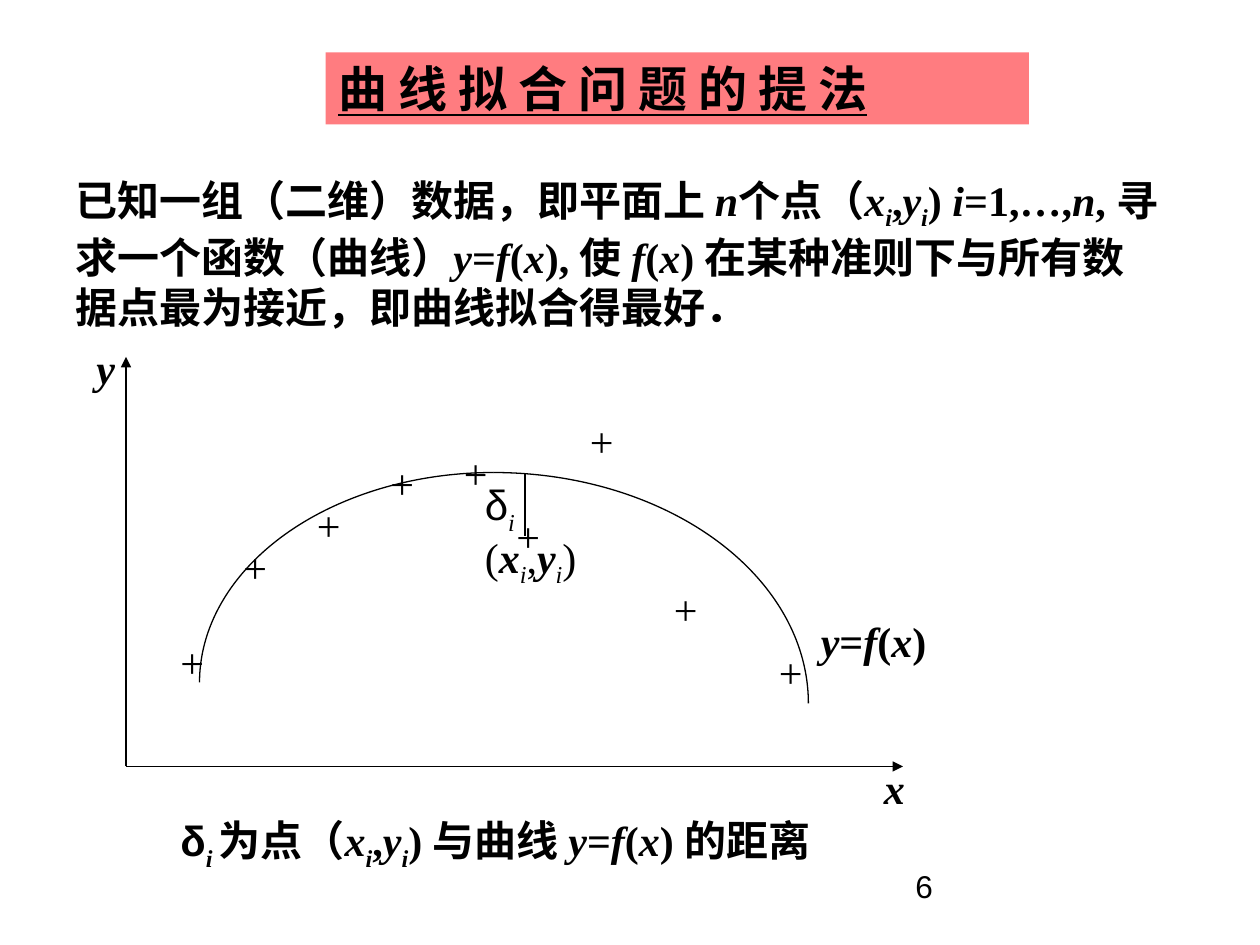
from lxml import etree
from pptx import Presentation
from pptx.dml.color import RGBColor
from pptx.enum.shapes import MSO_CONNECTOR, MSO_SHAPE
from pptx.enum.text import MSO_ANCHOR, MSO_AUTO_SIZE, PP_ALIGN
from pptx.oxml.ns import qn
from pptx.util import Inches, Pt

BLACK = RGBColor(0, 0, 0)
PINK = RGBColor(0xFF, 0x7C, 0x80)
CJK, SERIF, SANS = "Noto Sans CJK SC", "Times New Roman", "Arial"

# Runs are (text, style): b bold, i italic, s subscript, u underlined,
# c CJK font, a sans font; otherwise the serif font.
F_OF_X = [("f", "bi"), ("(", "b"), ("x", "bi"), (")", "b")]
Y_OF_X = [("y", "bi"), ("=", "b"), *F_OF_X]
POINT = [("x", "bi"), ("i", "bis"), (",", "b"), ("y", "bi"), ("i", "bis"), (")", "b")]

TITLE = [("曲 线 拟 合 问 题 的 提 法", "bcu")]
STATEMENT = [
    ("已知一组（二维）数据，即平面上 ", "bc"), ("n", "bi"), ("个点", "bc"),
    ("（", "b"), *POINT, (" ", "b"), ("i", "bi"), ("=1,…,", "b"), ("n", "bi"),
    (", ", "b"), ("寻求一个函数（曲线）", "bc"), *Y_OF_X, (", ", "b"),
    ("使 ", "bc"), *F_OF_X, (" ", "b"),
    ("在某种准则下与所有数据点最为接近，即曲线拟合得最好．", "bc"),
]
DISTANCE = [("δ", "ba"), ("i ", "bis"), ("为点（", "b"), *POINT, (" 与", "b"),
            ("曲线 ", "bc"), *Y_OF_X, (" 的距离", "b")]
POINT_LABEL = [("(", ""), ("x", "bi"), ("i", "is"), (",", ""),
               ("y", "bi"), ("i", "is"), (")", "")]

# Places are (left, top, width, height) in columns and rows of a 120 x 90 grid.
COLS, ROWS = 120, 90
TITLE_BOX = (31, 5, 67, 6.85)
TEXTS = [
    (STATEMENT, (6, 16, 106, 16.3), 24),
    ([("x", "bi")], (83, 72, 8, 6), 24),
    ([("y", "bi")], (8, 32, 6, 6), 24),
    (Y_OF_X, (77, 58, 19, 6), 24),
    (POINT_LABEL, (45, 50, 12, 6.7), 24),
    ([("δ", "a"), ("i", "is")], (45, 45, 7, 6.7), 24),
    (DISTANCE, (16, 77, 65, 11.5), 24),
    ([("6", "a")], (86, 82, 25, 6), 18),
]
DATA_POINTS = [(16, 60), (22, 51), (29, 47), (36, 43), (43, 42),
               (48, 48), (55, 39), (63, 55), (73, 61)]
MARK_SIZE = (7, 6)
ORIGIN = (12, 73)
AXIS_ENDS = [(86, 73), (12, 34)]
DEVIATION = ((50, 51), (50, 45))
# Angles are in units of 1/600 turn... 108 = left, 162 = top, 0 = right.
ARCS = [((19, 45, 56, 40), 108, 162), ((17, 45, 60, 44), 162, 0)]

prs = Presentation()
prs.slide_width, prs.slide_height = Inches(10), Inches(7.5)
slide = prs.slides.add_slide(prs.slide_layouts[5])


def place(*cells):
    """Turn alternating columns and rows into lengths."""
    units = (prs.slide_width / COLS, prs.slide_height / ROWS)
    return [round(cell * units[n % 2]) for n, cell in enumerate(cells)]


def write(sp, runs, size):
    tf = sp.text_frame
    tf.word_wrap = True
    tf.auto_size = MSO_AUTO_SIZE.NONE
    tf.vertical_anchor = MSO_ANCHOR.TOP
    p = tf.paragraphs[0]
    p.alignment = PP_ALIGN.LEFT
    for text, style in runs:
        r = p.add_run()
        r.text = text
        font = r.font
        font.size = Pt(size)
        font.color.rgb = BLACK
        font.bold, font.italic = "b" in style, "i" in style
        font.underline = "u" in style
        font.name = CJK if "c" in style else SANS if "a" in style else SERIF
        rPr = r._r.get_or_add_rPr()
        etree.SubElement(rPr, qn("a:ea")).set("typeface", CJK)
        if "s" in style:
            rPr.set("baseline", "-25000")


def add_text(runs, box, size):
    write(slide.shapes.add_textbox(*place(*box)), runs, size)


def add_line(start, end, arrow=False):
    line = slide.shapes.add_connector(MSO_CONNECTOR.STRAIGHT, *place(*start, *end))
    line.line.color.rgb = BLACK
    line.line.width = Pt(0.75)
    if arrow:
        ln = line.line._get_or_add_ln()
        etree.SubElement(ln, qn("a:tailEnd")).set("type", "triangle")
    etree.SubElement(line._element.spPr, qn("a:effectLst"))


def add_arc(box, start, end):
    sp = slide.shapes.add_shape(MSO_SHAPE.ARC, *place(*box))
    sp.adjustments[0], sp.adjustments[1] = start, end
    sp.shadow.inherit = False
    sp.fill.background()
    sp.line.color.rgb = BLACK
    sp.line.width = Pt(0.75)


title = slide.shapes.title
title.left, title.top, title.width, title.height = place(*TITLE_BOX)
title.fill.solid()
title.fill.fore_color.rgb = PINK
write(title, TITLE, 28)

for point in DATA_POINTS:
    add_text([("+", "")], (*point, *MARK_SIZE), 24)
for end in AXIS_ENDS:
    add_line(ORIGIN, end, arrow=True)
for arc in ARCS:
    add_arc(*arc)
add_line(*DEVIATION)
for text in TEXTS:
    add_text(*text)

prs.save("out.pptx")
